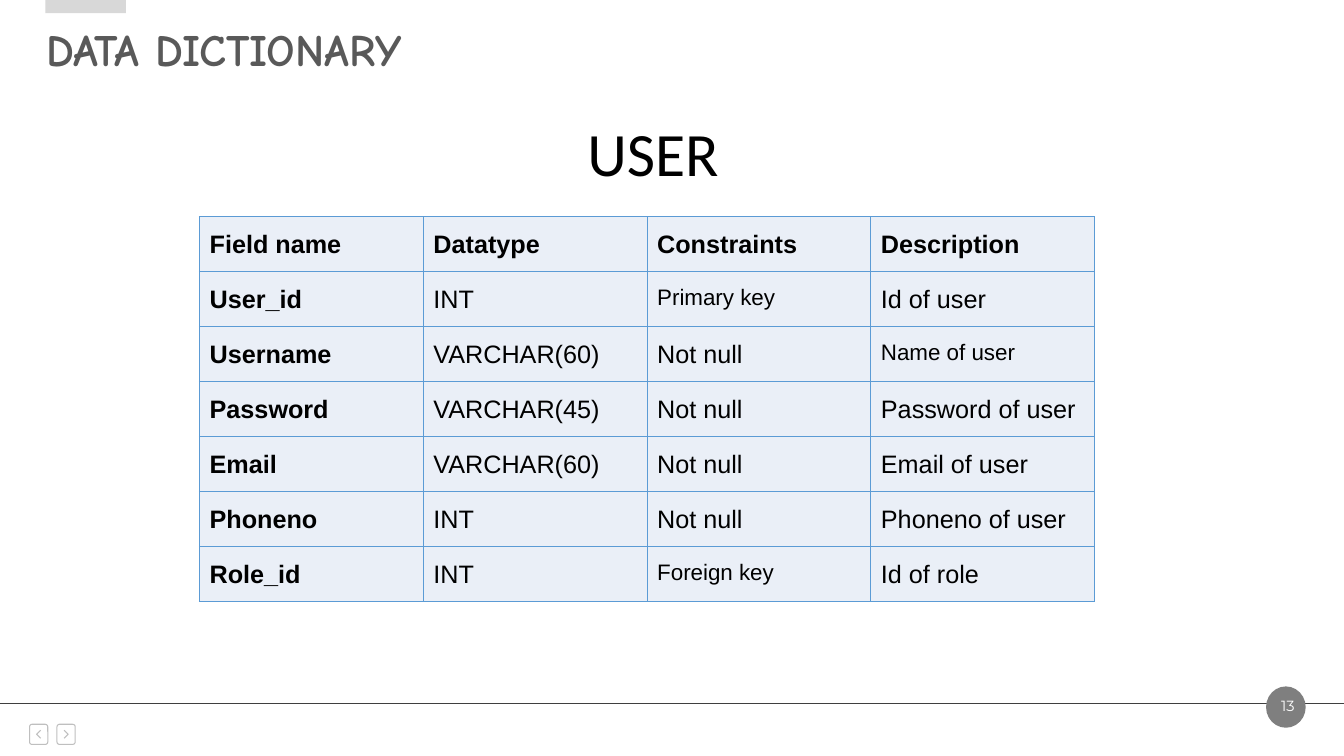
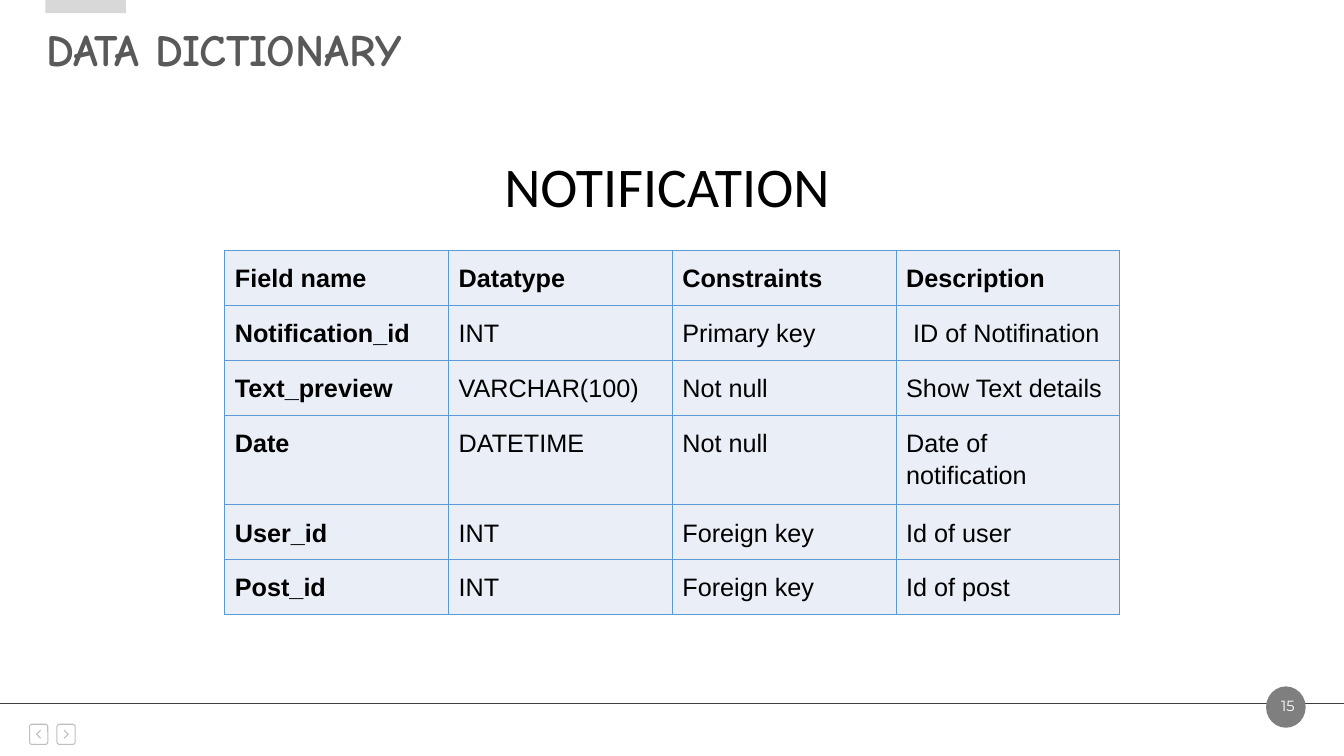
import pptx
import pptx.util
import pptx.dml.color
import pptx.enum.shapes
import pptx.enum.text
import pptx.oxml
import pptx.oxml.ns

Pt = pptx.util.Pt
Shape = pptx.enum.shapes.MSO_SHAPE
Align = pptx.enum.text.PP_ALIGN
Anchor = pptx.enum.text.MSO_ANCHOR
Fit = pptx.enum.text.MSO_AUTO_SIZE
NS = pptx.oxml.ns.nsdecls("a")


def color(code):
    return pptx.dml.color.RGBColor.from_string(code)


class Deck:
    """Holds the style and the current slide; lengths are percent of its size."""

    INK, TITLE, WHITE = "000000", "595959", "FFFFFF"
    TAB, NAV, RULE, BADGE = "D8D8D8", "BFBFBF", "3F3F3F", "7F7F7F"
    CELL, GRID = "EAEFF7", "5B9BD5"
    ROW, COL = 7.25, 16.65

    def __init__(self):
        self.file = pptx.Presentation()
        self.file.slide_width = pptx.util.Inches(13.33)
        self.file.slide_height = pptx.util.Inches(7.5)

    def across(self, share):
        return round(self.file.slide_width * share / 100)

    def down(self, share):
        return round(self.file.slide_height * share / 100)

    def box(self, x, y, w, h):
        return self.across(x), self.down(y), self.across(w), self.down(h)

    def font(self, para, name, size, code, bold=False):
        font = para.font
        font.name, font.size, font.bold = name, Pt(size), bold
        font.color.rgb = color(code)

    def start(self, title, page):
        self.slide = self.file.slides.add_slide(self.file.slide_layouts[5])
        self.shapes = self.slide.shapes
        self.title(title)
        self.shape(Shape.RECTANGLE, (3.38, 0, 6, 1.73), self.TAB)
        self.footer(page)

    def title(self, text):
        head = self.shapes.title
        head.left, head.top, head.width, head.height = self.box(2.7, 2.13, 61.9, 8.53)
        frame = head.text_frame
        frame.text = text
        frame.auto_size = Fit.NONE
        frame.vertical_anchor = Anchor.MIDDLE
        para = frame.paragraphs[0]
        para.alignment = Align.LEFT
        self.font(para, "Comic Neue", 32, self.TITLE, True)

    def footer(self, page):
        # Arrow buttons
        for x, turn in ((2.2, 1), (4.24, -1)):
            self.button(x, turn)
        # Rule and page number
        rule = self.shapes.add_connector(
            pptx.enum.shapes.MSO_CONNECTOR.STRAIGHT,
            0, self.down(93.07), self.across(100), self.down(93.07))
        rule.line.color.rgb = color(self.RULE)
        rule.line.width = Pt(0.75)
        rule._element.spPr.append(pptx.oxml.parse_xml(f"<a:effectLst {NS}/>"))
        self.shape(Shape.OVAL, (94.2, 90.8, 2.95, 5.47), self.BADGE)
        self.text(str(page), (93.98, 91.47, 3.7, 3.73), "Montserrat", 10.5,
                  self.WHITE, Anchor.BOTTOM)

    def button(self, x, turn):
        frame = self.shape(Shape.ROUNDED_RECTANGLE, (x, 95.8, 1.36, 2.67))
        frame.adjustments[0] = 0.14
        mid, wing = x + 0.68, 0.15 * turn
        start, *rest = [(self.across(mid + dx), self.down(97.13 + dy))
                        for dx, dy in ((wing, -0.53), (-wing, 0), (wing, 0.53))]
        build = self.shapes.build_freeform(*start)
        build.add_line_segments(rest, close=False)
        self.paint(build.convert_to_shape())

    def paint(self, shape, fill=None):
        shape.shadow.inherit = False
        if fill:
            shape.fill.solid()
            shape.fill.fore_color.rgb = color(fill)
            shape.line.fill.background()
        else:
            shape.fill.background()
            shape.line.color.rgb = color(self.NAV)
            shape.line.width = Pt(0.75)
        return shape

    def shape(self, kind, area, fill=None):
        return self.paint(self.shapes.add_shape(kind, *self.box(*area)), fill)

    def text(self, text, area, name, size, code, anchor=Anchor.TOP):
        frame = self.shapes.add_textbox(*self.box(*area)).text_frame
        frame.word_wrap = True
        frame.auto_size = Fit.SHAPE_TO_FIT_TEXT
        frame.vertical_anchor = anchor
        frame.text = text
        para = frame.paragraphs[0]
        para.alignment = Align.CENTER
        self.font(para, name, size, code)

    def heading(self, text, area, size):
        self.text(text, area, "Calibri", size, self.INK)

    def table(self, x, y, rows, small=(), tall=None):
        """Texts in small are set smaller; tall maps a row to its height."""
        highs = [(tall or {}).get(i, self.ROW) for i in range(len(rows))]
        wide = len(rows[0])
        area = self.box(x, y, self.COL * wide, sum(highs))
        table = self.shapes.add_table(len(rows), wide, *area).table
        table.first_row = table.horz_banding = False
        for r, row in enumerate(rows):
            table.rows[r].height = self.down(highs[r])
            for c, text in enumerate(row):
                size = 16 if text in small else 18
                self.cell(table.cell(r, c), text, size, r == 0 or c == 0)

    def cell(self, cell, text, size, bold):
        cell.text = text
        inset = pptx.util.Inches(0.1)
        cell.margin_left = cell.margin_right = inset
        cell.margin_top = cell.margin_bottom = inset
        para = cell.text_frame.paragraphs[0]
        para.line_spacing = 1.15
        self.font(para, "Arial", size, self.INK, bold)
        # Borders come before the fill
        props = cell._tc.get_or_add_tcPr()
        for side in "LRTB":
            props.append(pptx.oxml.parse_xml(
                f'<a:ln{side} {NS} w="{Pt(1)}"><a:solidFill>'
                f'<a:srgbClr val="{self.GRID}"/></a:solidFill></a:ln{side}>'))
        cell.fill.solid()
        cell.fill.fore_color.rgb = color(self.CELL)


HEAD = ("Field name", "Datatype", "Constraints", "Description")
TITLE = "DATA DICTIONARY"


def main():
    deck = Deck()

    # User table
    deck.start(TITLE, 13)
    deck.table(14.85, 28.67, [
        HEAD,
        ("User_id", "INT", "Primary key", "Id of user"),
        ("Username", "VARCHAR(60)", "Not null", "Name of user"),
        ("Password", "VARCHAR(45)", "Not null", "Password of user"),
        ("Email", "VARCHAR(60)", "Not null", "Email of user"),
        ("Phoneno", "INT", "Not null", "Phoneno of user"),
        ("Role_id", "INT", "Foreign key", "Id of role"),
    ], small=("Primary key", "Name of user", "Foreign key"))
    deck.heading("USER", (15.9, 14.53, 65.4, 11.2), 44)

    # Notification table
    deck.start(TITLE, 15)
    deck.table(16.73, 33.1, [
        HEAD,
        ("Notification_id", "INT", "Primary key", " ID of Notifination"),
        ("Text_preview", "VARCHAR(100)", "Not null", "Show Text details"),
        ("Date", "DATETIME", "Not null", "Date of notification"),
        ("User_id", "INT", "Foreign key", "Id of user"),
        ("Post_id", "INT", "Foreign key", "Id of post"),
    ], tall={3: 11.87})
    deck.heading("NOTIFICATION", (16.05, 19.33, 67.15, 10.27), 40)

    deck.file.save("out.pptx")


if __name__ == "__main__":
    main()
